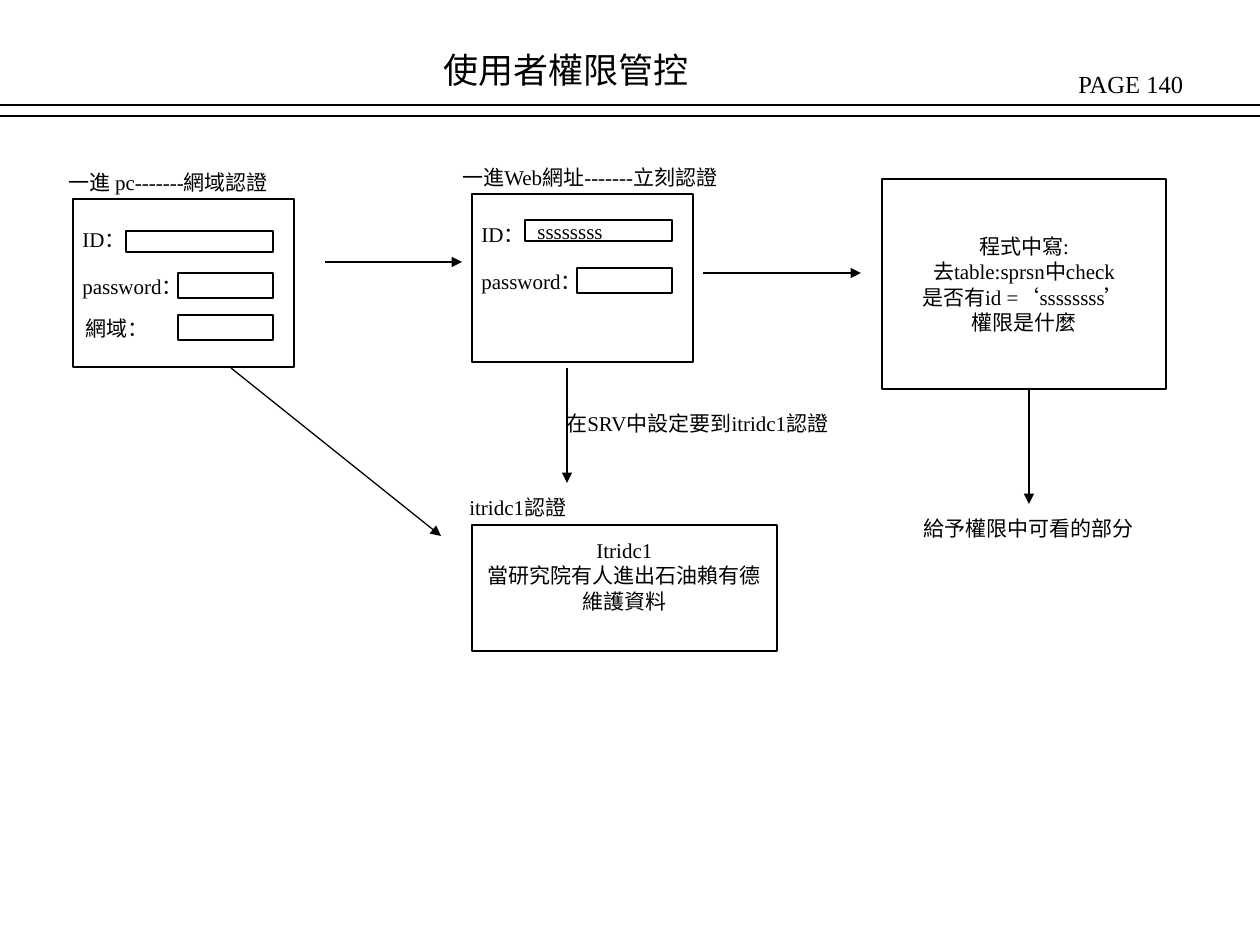
from dataclasses import dataclass

from lxml import etree
from pptx import Presentation
from pptx.dml.color import RGBColor
from pptx.enum import shapes, text
from pptx.oxml import ns
from pptx.util import Emu, Pt

BLACK = RGBColor(0, 0, 0)
FONT = "Times New Roman"
SCALE = 914400 / 126


@dataclass
class Label:
    x: int
    y: int
    w: int
    words: str
    h: int = 38
    size: int = 12


@dataclass
class Box:
    x: int
    y: int
    w: int
    h: int
    lines: tuple[str, ...] = ()
    mid: bool = True
    foot: int = 6


@dataclass
class Line:
    x1: int
    y1: int
    x2: int
    y2: int
    arrow: bool = True


@dataclass
class Login:
    x: int
    y: int
    drop: int
    user: tuple[str, ...] = ()


def px(n: int) -> Emu:
    return Emu(round(n * SCALE))


def write(frame, lines: tuple[str, ...], size: int, align) -> None:
    for i, words in enumerate(lines):
        para = frame.paragraphs[0] if i == 0 else frame.add_paragraph()
        para.alignment = align
        run = para.add_run()
        run.text = words
        run.font.name = FONT
        run.font.size = Pt(size)
        run.font.color.rgb = BLACK


def add_label(slide, item: Label) -> None:
    shape = slide.shapes.add_textbox(px(item.x), px(item.y), px(item.w), px(item.h))
    frame = shape.text_frame
    frame.word_wrap = True
    frame.auto_size = text.MSO_AUTO_SIZE.NONE
    frame.margin_right = 0
    write(frame, (item.words,), item.size, text.PP_ALIGN.LEFT)


def add_box(slide, item: Box) -> None:
    shape = slide.shapes.add_shape(
        shapes.MSO_SHAPE.RECTANGLE, px(item.x), px(item.y), px(item.w), px(item.h))
    shape.shadow.inherit = False
    shape.fill.background()
    shape.line.color.rgb = BLACK
    shape.line.width = Pt(0.75)
    frame = shape.text_frame
    frame.word_wrap = not item.mid
    frame.vertical_anchor = text.MSO_ANCHOR.MIDDLE
    frame.margin_bottom = px(item.foot)
    align = text.PP_ALIGN.CENTER if item.mid else text.PP_ALIGN.LEFT
    write(frame, item.lines, 12, align)


def add_line(slide, item: Line) -> None:
    line = slide.shapes.add_connector(
        shapes.MSO_CONNECTOR.STRAIGHT,
        px(item.x1), px(item.y1), px(item.x2), px(item.y2))
    line.line.color.rgb = BLACK
    line.line.width = Pt(0.75)
    if item.arrow:
        etree.SubElement(line.line._get_or_add_ln(), ns.qn("a:tailEnd"), type="triangle")
    etree.SubElement(line._element.spPr, ns.qn("a:effectLst"))


def add_login(slide, item: Login) -> None:
    x, y = item.x, item.y
    add_box(slide, Box(x, y, 221, 168))
    add_label(slide, Label(x - 3, y + 21, 73, "ID："))
    add_box(slide, Box(x + 53, y + item.drop, 147, 21, item.user, mid=False))
    add_label(slide, Label(x - 3, y + 68, 135, "password："))
    add_box(slide, Box(x + 105, y + 74, 95, 25))


def add_title(slide, words: str) -> None:
    title = slide.shapes.title
    title.left, title.top, title.width, title.height = px(431), px(42), px(357), px(55)
    frame = title.text_frame
    frame.word_wrap = True
    frame.vertical_anchor = text.MSO_ANCHOR.TOP
    write(frame, (words,), 20, text.PP_ALIGN.LEFT)


LOGINS = (
    Login(73, 199, 32),
    Login(472, 194, 26, ("ssssssss",)),
)
BOXES = (
    Box(178, 315, 95, 25),
    Box(472, 525, 305, 126, ("Itridc1", "當研究院有人進出石油賴有德", "維護資料"), foot=31),
    Box(882, 179, 284, 210,
        ("程式中寫:", "去table:sprsn中check", "是否有id =‘ssssssss’", "權限是什麼")),
)
LABELS = (
    Label(1066, 63, 190, "PAGE 140", 43, 14),
    Label(56, 163, 260, "一進 pc-------網域認證"),
    Label(73, 309, 100, "網域："),
    Label(457, 488, 150, "itridc1認證"),
    Label(450, 158, 330, "一進Web網址-------立刻認證"),
    Label(554, 404, 330, "在SRV中設定要到itridc1認證"),
    Label(911, 509, 260, "給予權限中可看的部分"),
)
LINES = (
    Line(0, 105, 1260, 105, False),
    Line(0, 116, 1260, 116, False),
    Line(231, 368, 441, 536),
    Line(567, 368, 567, 483),
    Line(325, 262, 462, 262),
    Line(703, 273, 861, 273),
    Line(1029, 388, 1029, 504),
)


def main() -> None:
    deck = Presentation()
    deck.slide_width, deck.slide_height = px(1260), px(945)
    slide = deck.slides.add_slide(deck.slide_layouts[5])
    add_title(slide, "使用者權限管控")
    for draw, items in ((add_login, LOGINS), (add_box, BOXES),
                        (add_line, LINES), (add_label, LABELS)):
        for item in items:
            draw(slide, item)
    deck.save("out.pptx")


if __name__ == "__main__":
    main()
